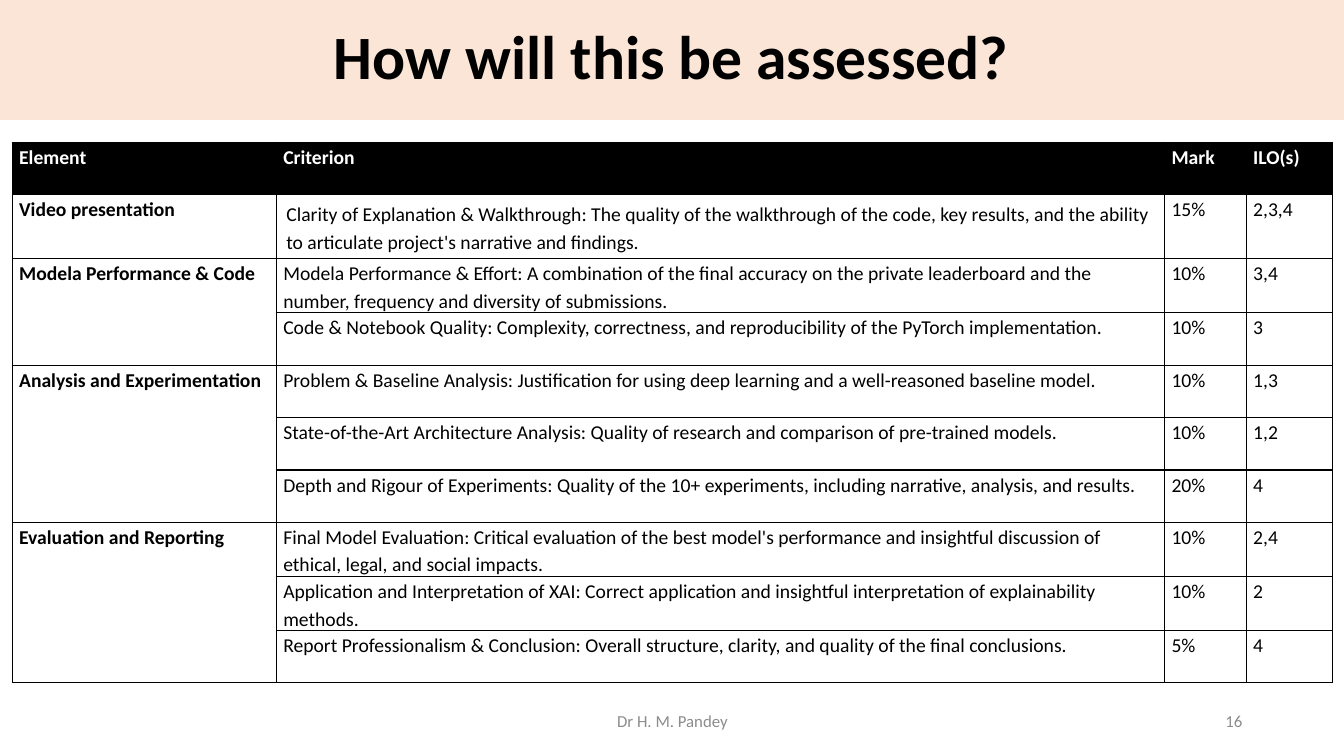
from lxml import etree
from pptx import Presentation
from pptx.dml.color import RGBColor
from pptx.enum import text
from pptx.oxml import ns
from pptx.util import Inches, Pt

COLORS = {"banner": "FBE5D6", "ink": "000000", "paper": "FFFFFF", "footer": "8C8C8C"}
FONT = "Calibri"
COLUMN_WIDTHS = [2.62, 8.81, 0.81, 0.86]
ROW_HEIGHT, VIDEO_ROW_HEIGHT = 0.52, 0.61
HEADINGS = ["Element", "Criterion", "Mark", "ILO(s)"]
ELEMENTS = {
    "Video presentation": [
        ("Clarity of Explanation & Walkthrough: The quality of the walkthrough of the code, "
         "key results, and the ability to articulate project's narrative and findings.", "15%", "2,3,4"),
    ],
    "Modela Performance & Code": [
        ("Modela Performance & Effort: A combination of the final accuracy on the private leaderboard "
         "and the number, frequency and diversity of submissions.", "10%", "3,4"),
        ("Code & Notebook Quality: Complexity, correctness, and reproducibility of the "
         "PyTorch implementation.", "10%", "3"),
    ],
    "Analysis and Experimentation": [
        ("Problem & Baseline Analysis: Justification for using deep learning and a "
         "well-reasoned baseline model.", "10%", "1,3"),
        ("State-of-the-Art Architecture Analysis: Quality of research and comparison of "
         "pre-trained models.", "10%", "1,2"),
        ("Depth and Rigour of Experiments: Quality of the 10+ experiments, including narrative, "
         "analysis, and results.", "20%", "4"),
    ],
    "Evaluation and Reporting": [
        ("Final Model Evaluation: Critical evaluation of the best model's performance and "
         "insightful discussion of ethical, legal, and social impacts.", "10%", "2,4"),
        ("Application and Interpretation of XAI: Correct application and insightful interpretation "
         "of explainability methods.", "10%", "2"),
        ("Report Professionalism & Conclusion: Overall structure, clarity, and quality of the "
         "final conclusions.", "5%", "4"),
    ],
}


def rgb(name):
    return RGBColor.from_string(COLORS[name])


def write(tf, words, size, color="ink", bold=False, **paragraph_format):
    p = tf.paragraphs[0]
    for name, value in paragraph_format.items():
        setattr(p, name, value)
    r = p.add_run()
    r.text = words
    for name, value in {"name": FONT, "size": Pt(size), "bold": bold}.items():
        setattr(r.font, name, value)
    r.font.color.rgb = rgb(color)


def add_title(s, words):
    sp = s.shapes.title
    sp.left, sp.top, sp.width, sp.height = (Inches(v) for v in (0, 0, 13.33, 1.19))
    sp.fill.solid()
    sp.fill.fore_color.rgb = rgb("banner")
    sp.text_frame.vertical_anchor = text.MSO_ANCHOR.MIDDLE
    write(sp.text_frame, words, 44, bold=True, alignment=text.PP_ALIGN.CENTER, line_spacing=0.9)


def add_footer(s, words, left, width, alignment):
    tf = s.shapes.add_textbox(Inches(left), Inches(6.95), Inches(width), Inches(0.4)).text_frame
    tf.word_wrap = True
    tf.vertical_anchor = text.MSO_ANCHOR.MIDDLE
    write(tf, words, 12, "footer", alignment=alignment)


def style_cell(cell, fill):
    """Give the cell thin black borders, narrow margins and a plain fill."""
    props = cell._tc.get_or_add_tcPr()
    for side in ("a:lnL", "a:lnR", "a:lnT", "a:lnB"):
        line = etree.SubElement(props, ns.qn(side), w=str(Pt(1)))
        solid = etree.SubElement(line, ns.qn("a:solidFill"))
        etree.SubElement(solid, ns.qn("a:srgbClr"), val=COLORS["ink"])
    cell.fill.solid()
    cell.fill.fore_color.rgb = rgb(fill)
    cell.margin_left = cell.margin_right = Inches(0.07)
    cell.margin_top = cell.margin_bottom = 0


def write_cell(cell, words, color="ink", bold=False):
    write(cell.text_frame, words, 14, color, bold, line_spacing=1.15, space_after=Pt(8))


def add_assessment_table(s):
    row_count = 1 + sum(len(criteria) for criteria in ELEMENTS.values())
    table = s.shapes.add_table(row_count, len(HEADINGS), Inches(0.12), Inches(1.41),
                               Inches(sum(COLUMN_WIDTHS)), Inches(ROW_HEIGHT * row_count)).table
    for column, width in zip(table.columns, COLUMN_WIDTHS):
        column.width = Inches(width)
    for i, row in enumerate(table.rows):
        row.height = Inches(VIDEO_ROW_HEIGHT if i == 1 else ROW_HEIGHT)
        for cell in row.cells:
            style_cell(cell, "paper" if i else "ink")
    for i, heading in enumerate(HEADINGS):
        write_cell(table.cell(0, i), heading, "paper", bold=True)

    first = 1
    for element, criteria in ELEMENTS.items():
        if len(criteria) > 1:
            table.cell(first, 0).merge(table.cell(first + len(criteria) - 1, 0))
        write_cell(table.cell(first, 0), element, bold=True)
        for i, values in enumerate(criteria, first):
            for j, value in enumerate(values, 1):
                write_cell(table.cell(i, j), value)
        first += len(criteria)

    video_criterion = table.cell(1, 1)
    video_criterion.margin_left = video_criterion.margin_right = Inches(0.1)
    video_criterion.margin_top = video_criterion.margin_bottom = Inches(0.05)


def main():
    prs = Presentation()
    prs.slide_width, prs.slide_height = Inches(13.33), Inches(7.5)
    s = prs.slides.add_slide(prs.slide_layouts[5])
    add_title(s, "How will this be assessed?")
    add_footer(s, "Dr H. M. Pandey", 4.42, 4.5, text.PP_ALIGN.CENTER)
    add_footer(s, "16", 9.42, 3, text.PP_ALIGN.RIGHT)
    add_assessment_table(s)
    prs.save("out.pptx")


if __name__ == "__main__":
    main()
